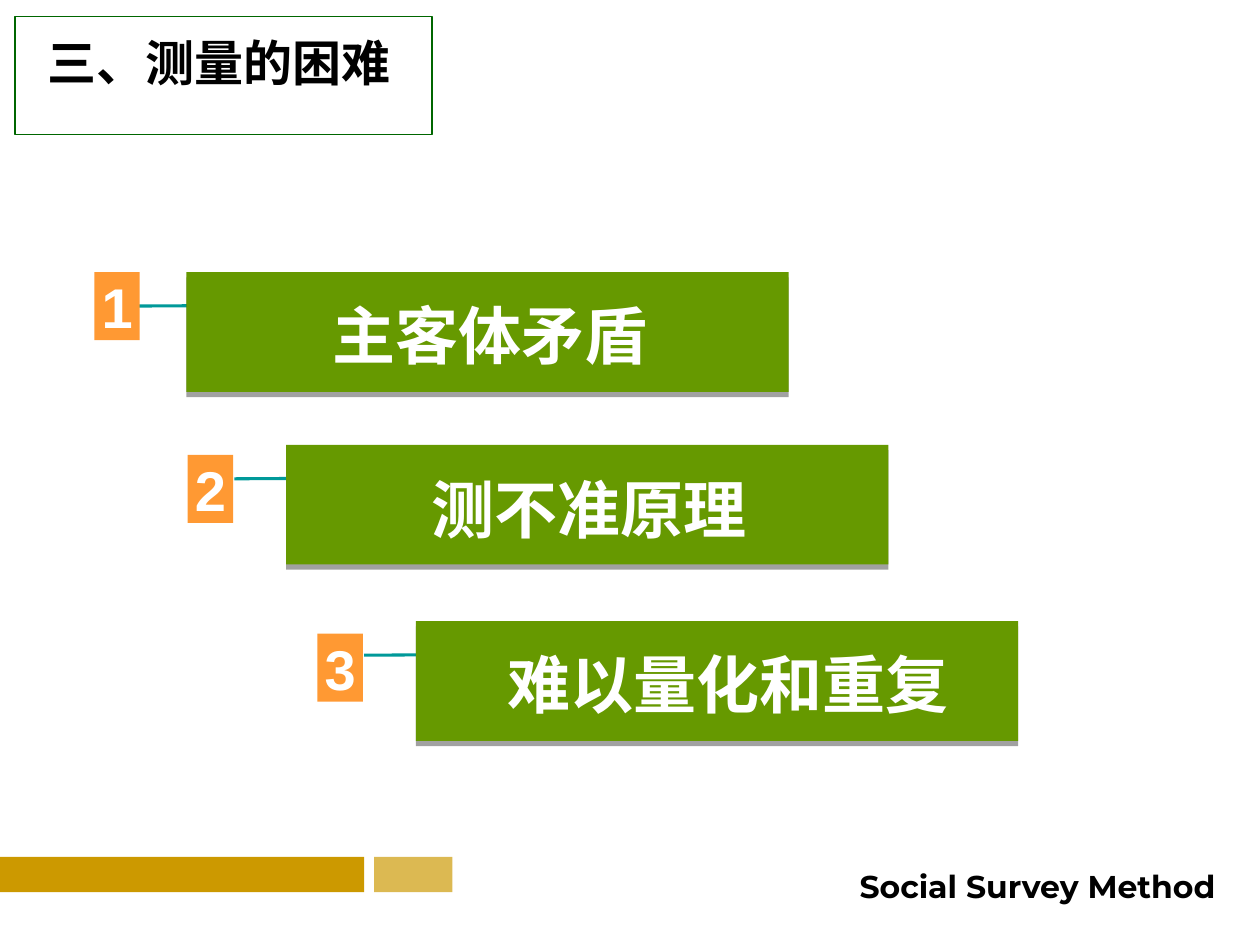
from dataclasses import dataclass

from lxml import etree
from pptx import Presentation
from pptx import util as u
from pptx.dml.color import RGBColor
from pptx.enum import shapes, text
from pptx.oxml.ns import qn

COLORS = {
    "gold": "CC9900", "orange": "FF9933", "green": "669900", "teal": "009999",
    "frame": "006600", "white": "FFFFFF", "black": "000000",
}
COLUMNS, ROWS = 100, 75  # grid over the whole slide
BAR_WIDTH, BAR_HEIGHT = 47.8, 9.5
BADGE_WIDTH, BADGE_HEIGHT = 3.6, 5.4
RULE_LENGTH = 51.8

presentation = Presentation()
presentation.slide_width, presentation.slide_height = u.Inches(10), u.Inches(7.5)


@dataclass
class Box:
    column: float
    row: float
    columns: float
    rows: float

    def place(self) -> tuple:
        return (across(self.column), down(self.row),
                across(self.columns), down(self.rows))


@dataclass
class Step:
    number: str
    label: str
    bar: tuple
    badge: tuple
    rule_column: float
    label_box: Box


STEPS = [
    Step("1", "主客体矛盾", (14.8, 21.6), (7.5, 21.6), 9.2, Box(22.1, 19.4, 33.5, 10.6)),
    Step("2", "测不准原理", (22.7, 35.3), (14.9, 36.1), 18.6, Box(30, 33.2, 33.5, 10.6)),
    Step("3", "难以量化和重复", (33, 49.3), (25.2, 50.3), 28.9, Box(35.8, 47.1, 43.9, 10.6)),
]


def across(columns: float) -> int:
    return round(presentation.slide_width * columns / COLUMNS)


def down(rows: float) -> int:
    return round(presentation.slide_height * rows / ROWS)


def color(name: str) -> RGBColor:
    return RGBColor.from_string(COLORS[name])


def write(shape, words: str, *, size: float, fill: str = "white", font: str = "Arial",
          align=text.PP_ALIGN.CENTER, anchor=text.MSO_ANCHOR.TOP,
          wrap: bool = True, inset: tuple = (0.1, 0.05)) -> None:
    frame = shape.text_frame
    frame.word_wrap, frame.vertical_anchor = wrap, anchor
    frame.auto_size = text.MSO_AUTO_SIZE.NONE
    frame.margin_left = frame.margin_right = u.Inches(inset[0])
    frame.margin_top = frame.margin_bottom = u.Inches(inset[1])
    paragraph = frame.paragraphs[0]
    paragraph.alignment = align
    run = paragraph.add_run()
    run.text = words
    run.font.name, run.font.size, run.font.bold = font, u.Pt(size), True
    run.font.color.rgb = color(fill)


def add_block(slide, box: Box, fill: str = "", line: str = ""):
    shape = slide.shapes.add_shape(shapes.MSO_SHAPE.RECTANGLE, *box.place())
    shape.shadow.inherit = False
    if fill:
        shape.fill.solid()
        shape.fill.fore_color.rgb = color(fill)
    else:
        shape.fill.background()
    if line:
        shape.line.color.rgb = color(line)
        shape.line.width = u.Pt(0.75)
    else:
        shape.line.fill.background()
    return shape


def set_alpha(parent, percent: int) -> None:
    etree.SubElement(parent, qn("a:alpha")).set("val", str(percent * 1000))


def add_drop_shadow(shape) -> None:
    effects = shape._element.spPr.find(qn("a:effectLst"))
    shadow = etree.SubElement(effects, qn("a:outerShdw"), blurRad="0",
                              dist=str(u.Pt(3)), dir="5400000", rotWithShape="0")
    shade = etree.SubElement(shadow, qn("a:srgbClr"), val=COLORS["black"])
    set_alpha(shade, 36)


def add_rule(slide, column: float, bar_row: float) -> None:
    rule = slide.shapes.add_connector(
        shapes.MSO_CONNECTOR.STRAIGHT, across(column), down(bar_row + 2.7),
        across(column + RULE_LENGTH), down(bar_row + 2.4))
    rule.line.color.rgb = color("teal")
    rule.line.width = u.Pt(1.75)
    etree.SubElement(rule._element.spPr, qn("a:effectLst"))


def add_step(slide, step: Step) -> None:
    add_rule(slide, step.rule_column, step.bar[1])
    bar = add_block(slide, Box(*step.bar, BAR_WIDTH, BAR_HEIGHT), "green")
    add_drop_shadow(bar)
    badge = add_block(slide, Box(*step.badge, BADGE_WIDTH, BADGE_HEIGHT), "orange")
    write(badge, step.number, size=32, anchor=text.MSO_ANCHOR.MIDDLE,
          wrap=False, inset=(0, 0))
    label = slide.shapes.add_textbox(*step.label_box.place())
    write(label, step.label, size=36, anchor=text.MSO_ANCHOR.BOTTOM)


def main() -> None:
    slide = presentation.slides.add_slide(presentation.slide_layouts[5])

    # Footer bands and course name
    add_block(slide, Box(0, 68, 28.9, 2.8), "gold")
    pale_band = add_block(slide, Box(29.7, 68, 6.2, 2.8), "gold")
    set_alpha(pale_band._element.spPr.find(f".//{qn('a:srgbClr')}"), 68)
    course = slide.shapes.add_textbox(*Box(65.7, 68.3, 33.3, 3.3).place())
    write(course, "Social Survey Method", size=18, fill="black",
          font="Montserrat", wrap=False)

    # Staircase of difficulties
    for step in STEPS:
        add_step(slide, step)

    # Framed title
    title = slide.shapes.title
    title.left, title.top, title.width, title.height = Box(2.8, 2.1, 44.9, 5.7).place()
    write(title, "三、测量的困难", size=28, fill="black", align=text.PP_ALIGN.LEFT)
    add_block(slide, Box(1.2, 1.3, 33.1, 9.4), line="frame")

    presentation.save("out.pptx")


if __name__ == "__main__":
    main()
